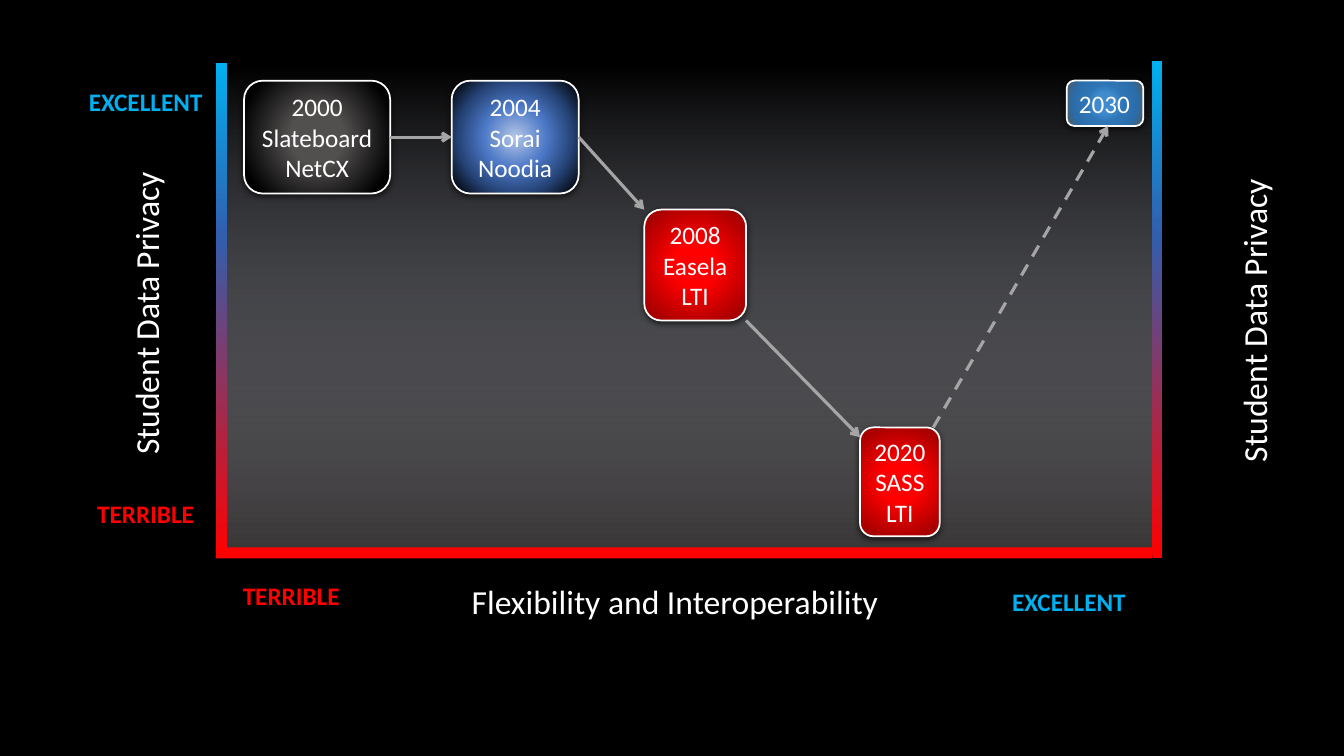
import pptx
import pptx.dml.color
import pptx.enum.dml
import pptx.enum.shapes
import pptx.enum.text
import pptx.oxml
import pptx.oxml.ns
import pptx.util

Inches = pptx.util.Inches
Pt = pptx.util.Pt
RGBColor = pptx.dml.color.RGBColor
Shapes = pptx.enum.shapes.MSO_SHAPE
Align = pptx.enum.text.PP_ALIGN
AutoSize = pptx.enum.text.MSO_AUTO_SIZE

BLACK = RGBColor(0x00, 0x00, 0x00)
WHITE = RGBColor(0xFF, 0xFF, 0xFF)
RED = RGBColor(0xFF, 0x00, 0x00)
DARK_RED = RGBColor(0xA6, 0x00, 0x00)
SKY = RGBColor(0x00, 0xB0, 0xF0)
ROYAL = RGBColor(0x31, 0x5E, 0xAD)
ARROW_GRAY = RGBColor(0xA5, 0xA5, 0xA5)
CHARCOAL = RGBColor(0x3B, 0x38, 0x38)
MIST = RGBColor(0xE0, 0xE5, 0xF7)
GRAPHITE = RGBColor(0x52, 0x4F, 0x4F)
PALE_BLUE = RGBColor(0xB4, 0xC7, 0xE7)
MID_BLUE = RGBColor(0x4D, 0x79, 0xC7)
NAVY = RGBColor(0x26, 0x44, 0x78)
BRIGHT_BLUE = RGBColor(0x40, 0x8B, 0xCE)
STEEL = RGBColor(0x2E, 0x75, 0xB6)
DEEP_STEEL = RGBColor(0x2B, 0x6D, 0xA9)
DIM_GRAY = RGBColor(0x59, 0x59, 0x59)

PANEL_STOPS = [(0, CHARCOAL, 100), (100, MIST, 0)]
AXIS_STOPS = [(0, RED, 100), (65, ROYAL, 100), (100, SKY, 100)]
RED_STOPS = [(29, RED, 100), (87, DARK_RED, 100)]
GRAY_STOPS = [(29, GRAPHITE, 100), (86, BLACK, 100)]
BLUE_STOPS = [(0, PALE_BLUE, 100), (37, MID_BLUE, 100),
              (67, NAVY, 100), (97, BLACK, 100)]
FUTURE_STOPS = [(0, BRIGHT_BLUE, 100), (23, BRIGHT_BLUE, 100), (43, STEEL, 100),
                (73, DEEP_STEEL, 100), (99, DIM_GRAY, 100)]

PANEL = (2.22, 0.63, 9.25, 4.85)
SIDE_AXES = [(2.14, 0.62, 0.11, 4.91), (11.43, 0.61, 0.1, 4.93)]
BOTTOM_AXIS = (2.14, 5.43, 9.29, 0.11)

TITLE = {"size": Pt(24), "bold": False}
RATING = {"size": Pt(18), "bold": True}
LABELS = [
    ("Student Data Privacy", (-0.07, 2.86, 3.03, 0.5), 270, Align.CENTER, WHITE, TITLE),
    ("Student Data Privacy", (10.92, 2.93, 3.03, 0.5), 270, Align.CENTER, WHITE, TITLE),
    ("Flexibility and Interoperability", (4.58, 5.71, 4.27, 0.5), 0, Align.LEFT, WHITE, TITLE),
    ("EXCELLENT", (0.78, 0.81, 1.33, 0.4), 0, Align.CENTER, SKY, RATING),
    ("TERRIBLE", (0.86, 4.89, 1.17, 0.4), 0, Align.CENTER, RED, RATING),
    ("TERRIBLE", (2.31, 5.71, 1.17, 0.4), 0, Align.LEFT, RED, RATING),
    ("EXCELLENT", (9.94, 5.77, 1.34, 0.4), 0, Align.LEFT, SKY, RATING),
]

MILESTONES = {
    "2000": (["Slateboard", "NetCX"], (2.42, 0.8, 1.45, 1.12), GRAY_STOPS),
    "2004": (["Sorai", "Noodia"], (4.48, 0.8, 1.26, 1.12), BLUE_STOPS),
    "2008": (["Easela", "LTI"], (6.39, 2.08, 1.01, 1.1), RED_STOPS),
    "2020": (["SASS", "LTI"], (8.53, 4.24, 0.79, 1.08), RED_STOPS),
    "2030": ([], (10.58, 0.8, 0.76, 0.45), FUTURE_STOPS),
}

ARROWS = [
    ("2000", (1, 0.5), "2004", (0, 0.5), False),
    ("2004", (1, 0.5), "2008", (0, 0), False),
    ("2008", (1, 1), "2020", (0, 0.09), False),
    ("2020", (0.92, 0), "2030", (0.54, 1), True),
]

NAMESPACE = pptx.oxml.ns.nsdecls("a")
UPWARD = '<a:lin ang="16200000" scaled="0"/>'
RADIAL = ('<a:path path="circle"><a:fillToRect l="50000" t="50000" '
          'r="50000" b="50000"/></a:path>')
SHADOW = (f'<a:outerShdw {NAMESPACE} blurRad="57150" dist="19050" dir="5400000" '
          'algn="ctr" rotWithShape="0"><a:srgbClr val="000000">'
          '<a:alpha val="63000"/></a:srgbClr></a:outerShdw>')


def set_gradient(shape, stops, direction):
    stop_xml = "".join(
        f'<a:gs pos="{position * 1000}"><a:srgbClr val="{color}">'
        f'<a:alpha val="{opacity * 1000}"/></a:srgbClr></a:gs>'
        for position, color, opacity in stops)
    gradient = pptx.oxml.parse_xml(
        f'<a:gradFill {NAMESPACE} rotWithShape="1"><a:gsLst>{stop_xml}</a:gsLst>'
        f'{direction}</a:gradFill>')
    shape.fill.solid()
    properties = shape.element.spPr
    properties.replace(properties.find(pptx.oxml.ns.qn("a:solidFill")), gradient)


def add_box(slide, kind, box):
    shape = slide.shapes.add_shape(kind, *map(Inches, box))
    shape.shadow.inherit = False
    shape.line.fill.background()
    return shape


def write_text(shape, lines, alignment, color, formats, wrap=False):
    frame = shape.text_frame
    frame.text = "\n".join(lines)
    frame.word_wrap = wrap
    frame.auto_size = AutoSize.SHAPE_TO_FIT_TEXT
    for paragraph in frame.paragraphs:
        paragraph.alignment = alignment
        font = paragraph.runs[0].font
        font.color.rgb = color
        for name, value in {"name": "Calibri", **formats}.items():
            setattr(font, name, value)


def add_milestone(slide, year, lines, box, stops):
    shape = add_box(slide, Shapes.ROUNDED_RECTANGLE, box)
    set_gradient(shape, stops, RADIAL)
    shape.line.color.rgb = WHITE
    shape.line.width = Pt(1.25)
    effects = shape.element.spPr.find(pptx.oxml.ns.qn("a:effectLst"))
    effects.append(pptx.oxml.parse_xml(SHADOW))
    write_text(shape, [year, *lines], Align.CENTER if lines else Align.LEFT,
               WHITE, {"size": Pt(18)}, year == "2004")


def anchor(year, fraction):
    left, top, width, height = MILESTONES[year][1]
    return Inches(left + width * fraction[0]), Inches(top + height * fraction[1])


def add_arrow(slide, start, end, dashed):
    arrow = slide.shapes.add_connector(
        pptx.enum.shapes.MSO_CONNECTOR.STRAIGHT, *start, *end)
    arrow.line.color.rgb = ARROW_GRAY
    arrow.line.width = Pt(2.25)
    if dashed:
        arrow.line.dash_style = pptx.enum.dml.MSO_LINE.DASH
    properties = arrow.element.spPr
    properties.find(pptx.oxml.ns.qn("a:ln")).append(
        pptx.oxml.parse_xml(f'<a:tailEnd {NAMESPACE} type="arrow"/>'))
    properties.append(pptx.oxml.parse_xml(f"<a:effectLst {NAMESPACE}/>"))


def main():
    presentation = pptx.Presentation()
    presentation.slide_width = Inches(13.33)
    presentation.slide_height = Inches(7.5)
    slide = presentation.slides.add_slide(presentation.slide_layouts[6])
    slide.background.fill.solid()
    slide.background.fill.fore_color.rgb = BLACK

    set_gradient(add_box(slide, Shapes.RECTANGLE, PANEL), PANEL_STOPS, UPWARD)
    for box in SIDE_AXES:
        set_gradient(add_box(slide, Shapes.RECTANGLE, box), AXIS_STOPS, UPWARD)
    bottom_axis = add_box(slide, Shapes.RECTANGLE, BOTTOM_AXIS)
    bottom_axis.fill.solid()
    bottom_axis.fill.fore_color.rgb = RED

    for text, box, rotation, alignment, color, formats in LABELS:
        label = slide.shapes.add_textbox(*map(Inches, box))
        label.rotation = rotation
        write_text(label, [text], alignment, color, formats)
    for year, (lines, box, stops) in MILESTONES.items():
        add_milestone(slide, year, lines, box, stops)
    for origin, leaving, target, arriving, dashed in ARROWS:
        add_arrow(slide, anchor(origin, leaving), anchor(target, arriving), dashed)

    presentation.save("out.pptx")


if __name__ == "__main__":
    main()
